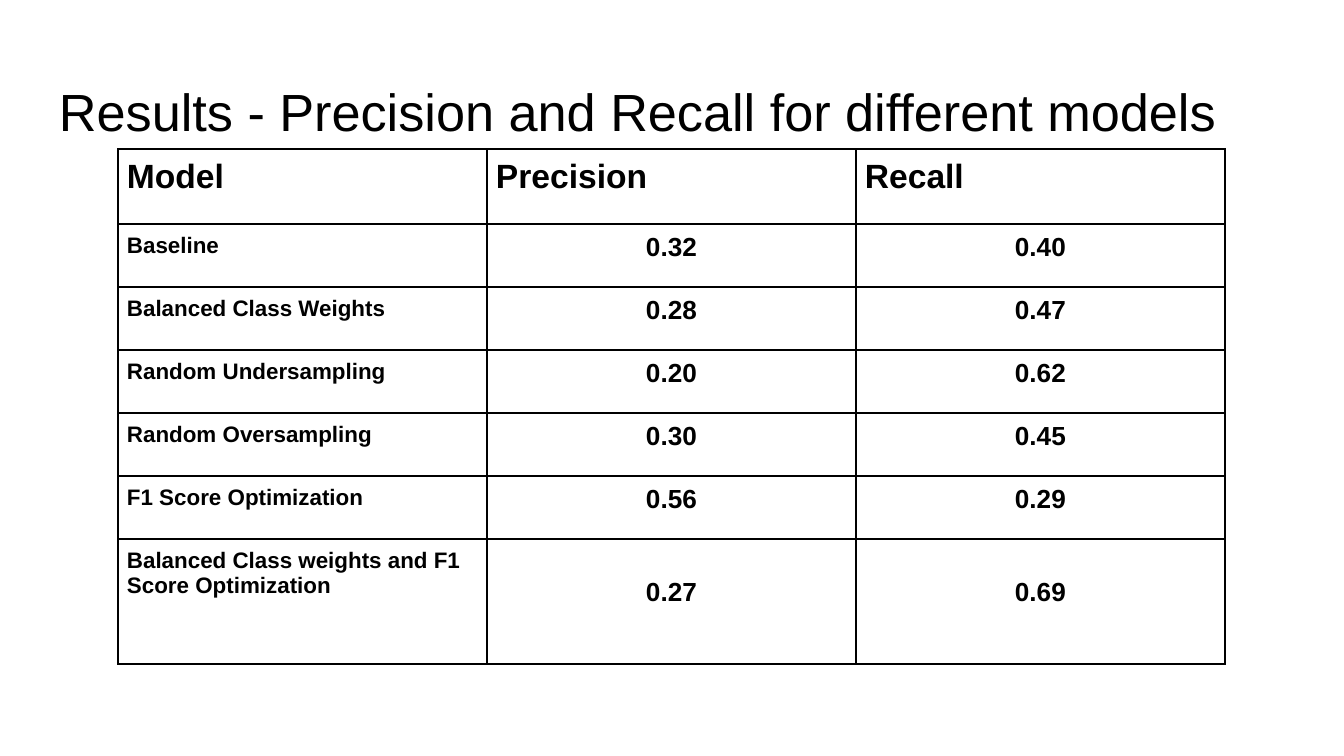
import pptx
import pptx.dml.color
import pptx.enum.text
import pptx.oxml
import pptx.oxml.ns
import pptx.util

EMU_PER_PX = 914400 / 134.4
ALIGN = pptx.enum.text.PP_ALIGN
INK = "000000"
HEADINGS = ["Model", "Precision", "Recall"]
RESULTS = [
    ["Baseline", "0.32", "0.40"],
    ["Balanced Class Weights", "0.28", "0.47"],
    ["Random Undersampling", "0.20", "0.62"],
    ["Random Oversampling", "0.30", "0.45"],
    ["F1 Score Optimization", "0.56", "0.29"],
    ["Balanced Class weights and F1 Score Optimization", "0.27", "0.69"],
]
COLUMN_WIDTH = 369
ROW_HEIGHTS = [75] + [63] * 5 + [125]
CELL_INSET = 9
LOWERED_INSET = 39


def px(length):
    return pptx.util.Emu(round(length * EMU_PER_PX))


def color(value):
    return pptx.dml.color.RGBColor.from_string(value)


def set_all(target, values):
    for name, value in values.items():
        setattr(target, name, value)


def write_text(frame, text, size, bold=False, align=ALIGN.LEFT):
    para = frame.paragraphs[0]
    para.alignment = align
    span = para.add_run()
    span.text = text
    set_all(span.font, {"name": "Arial", "size": pptx.util.Pt(size), "bold": bold})
    span.font.color.rgb = color(INK)


def add_title(page, text):
    box = page.shapes.add_textbox(px(46), px(66), px(1252), px(85))
    frame = box.text_frame
    sides = ["left", "top", "right", "bottom"]
    set_all(frame, {f"margin_{side}": px(13) for side in sides})
    set_all(frame, {"word_wrap": True, "vertical_anchor": pptx.enum.text.MSO_ANCHOR.TOP})
    write_text(frame, text, 28)


def add_borders(cell):
    properties = cell._tc.get_or_add_tcPr()
    for position, side in enumerate(["L", "R", "T", "B"]):
        border = pptx.oxml.parse_xml(
            f'<a:ln{side} {pptx.oxml.ns.nsdecls("a")} w="{pptx.util.Pt(1)}">'
            f'<a:solidFill><a:srgbClr val="{INK}"/></a:solidFill></a:ln{side}>'
        )
        properties.insert(position, border)


def fill_cell(cell, text, size, align, top):
    inset = px(CELL_INSET)
    set_all(cell, {
        "margin_left": inset,
        "margin_right": inset,
        "margin_top": px(top),
        "margin_bottom": inset,
    })
    cell.fill.background()
    add_borders(cell)
    write_text(cell.text_frame, text, size, True, align)


def add_results_table(page):
    rows = [HEADINGS] + RESULTS
    width = COLUMN_WIDTH * len(HEADINGS)
    table = page.shapes.add_table(
        len(rows), len(HEADINGS), px(118), px(149), px(width), px(sum(ROW_HEIGHTS))
    ).table
    set_all(table, {"first_row": False, "horz_banding": False})
    for column in table.columns:
        column.width = px(COLUMN_WIDTH)
    for r, (values, height) in enumerate(zip(rows, ROW_HEIGHTS)):
        table.rows[r].height = px(height)
        for c, text in enumerate(values):
            is_number = r > 0 and c > 0
            size = 18 if r == 0 else 14 if is_number else 12
            align = ALIGN.CENTER if is_number else ALIGN.LEFT
            lowered = is_number and r == len(RESULTS)
            top = LOWERED_INSET if lowered else CELL_INSET
            fill_cell(table.cell(r, c), text, size, align, top)


def main():
    deck = pptx.Presentation()
    set_all(deck, {"slide_width": px(1344), "slide_height": px(756)})
    page = deck.slides.add_slide(deck.slide_layouts[6])
    add_title(page, "Results - Precision and Recall for different models")
    add_results_table(page)
    deck.save("out.pptx")


if __name__ == "__main__":
    main()
